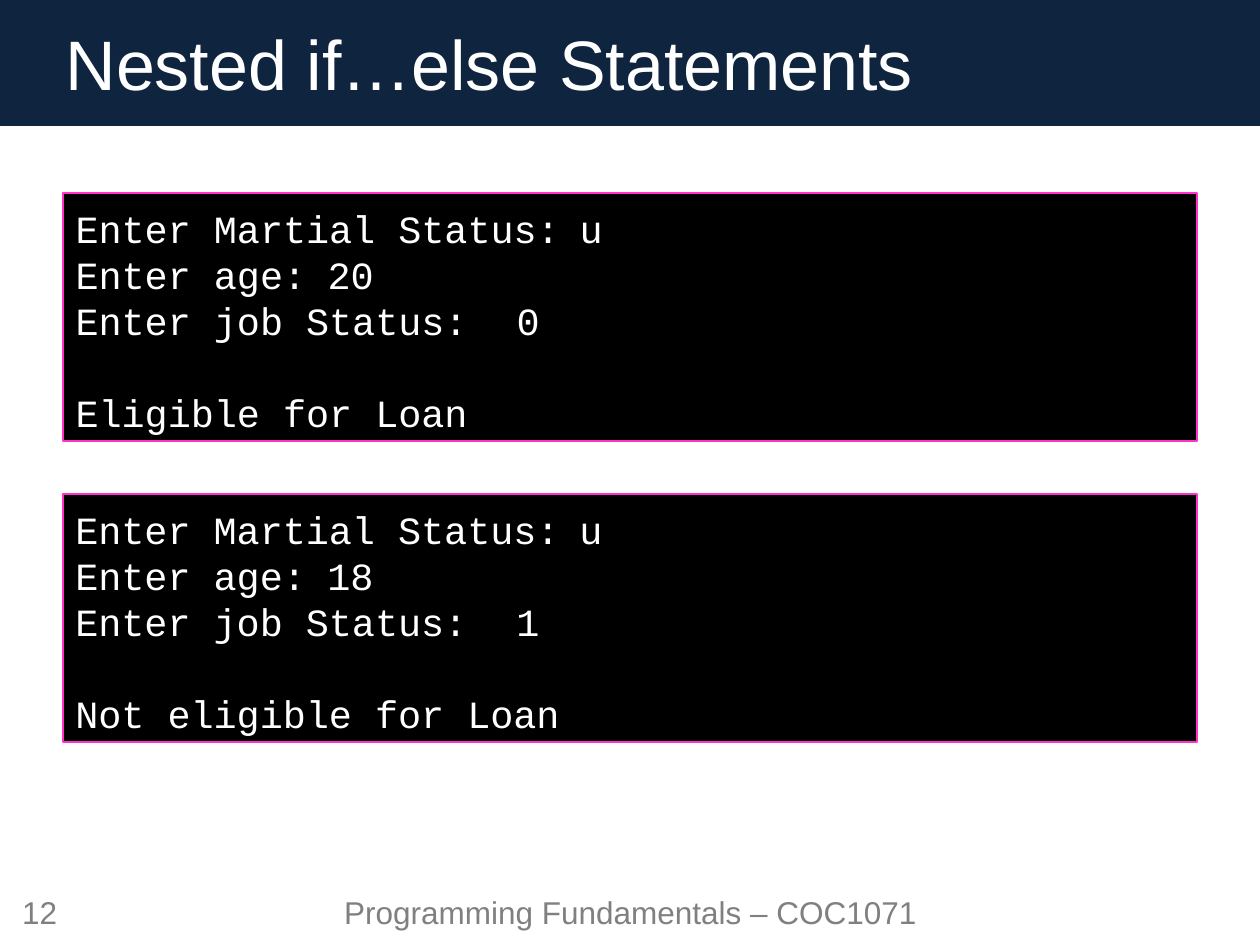
from pptx import Presentation
from pptx.dml.color import RGBColor as Rgb
from pptx.enum.shapes import MSO_SHAPE as Shape
from pptx.enum.text import MSO_ANCHOR as Anchor, MSO_AUTO_SIZE as Fit, PP_ALIGN as Align
from pptx.oxml.ns import qn
from pptx.util import Pt
from lxml.etree import SubElement as sub

COLORS = {
    "navy": "0F243E",
    "black": "000000",
    "pink": "FF33CC",
    "white": "FFFFFF",
    "gray": "808080",
}
PITCH = 26.3


def px(n):
    return n * 914400 // 126


def rgb(name):
    return Rgb.from_string(COLORS[name])


def place(shape, left, top, width, height):
    shape.left, shape.top = px(left), px(top)
    shape.width, shape.height = px(width), px(height)


def paint(shape, fill, line=None):
    shape.fill.solid()
    shape.fill.fore_color.rgb = rgb(fill)
    if line:
        shape.line.color.rgb = rgb(line)
        shape.line.width = Pt(0.75)
    else:
        shape.line.fill.background()


def write(shape, lines, size, color, font="Arial", align=Align.LEFT,
          anchor=Anchor.MIDDLE, top=6, pitch=None, tab=None):
    frame = shape.text_frame
    frame.word_wrap = True
    frame.auto_size = Fit.NONE
    frame.vertical_anchor = anchor
    frame.margin_top = px(top)
    frame.text = "\n".join(lines)
    for para in frame.paragraphs:
        if tab:
            props = para._p.get_or_add_pPr()
            props.set("marL", "0")
            props.set("indent", "0")
            sub(props, qn("a:buNone"))
            stops = sub(props, qn("a:tabLst"))
            sub(stops, qn("a:tab"), pos=str(px(tab)), algn="l")
        para.alignment = align
        para.space_before = Pt(0)
        if pitch:
            para.line_spacing = Pt(pitch)
        para.font.size = Pt(size)
        para.font.name = font
        para.font.color.rgb = rgb(color)


def header(slide, text):
    title = slide.shapes.title
    bar = slide.shapes.add_shape(Shape.RECTANGLE, 0, 0, px(1260), px(126))
    bar.shadow.inherit = False
    paint(bar, "navy")
    title.element.addprevious(bar.element)
    place(title, 53, 0, 1155, 126)
    paint(title, "navy")
    write(title, [text], 40, "white")


def console(shape, top, age, job, result):
    place(shape, 63, top, 1134, 248)
    paint(shape, "black", "pink")
    lines = ["Enter Martial Status:\tu", f"Enter age:\t{age}",
             f"Enter job Status:\t{job}", result]
    write(shape, lines, 22, "white", font="Courier New", anchor=Anchor.TOP,
          top=12, pitch=PITCH, tab=630)
    shape.text_frame.paragraphs[-1].space_before = Pt(PITCH)


def footer(slide, text, left, width):
    box = slide.shapes.add_textbox(px(left), px(882), px(width), px(59))
    write(box, [text], 18, "gray", align=Align.CENTER)


def main():
    deck = Presentation()
    deck.slide_width, deck.slide_height = px(1260), px(945)
    slide = deck.slides.add_slide(deck.slide_layouts[1])
    header(slide, "Nested if…else Statements")
    console(slide.placeholders[1], 193, 20, 0, "Eligible for Loan")
    box = slide.shapes.add_textbox(0, 0, 0, 0)
    console(box, 494, 18, 1, "Not eligible for Loan")
    footer(slide, "Programming Fundamentals – COC1071", 284, 693)
    footer(slide, "12", 0, 79)
    deck.save("out.pptx")


if __name__ == "__main__":
    main()
